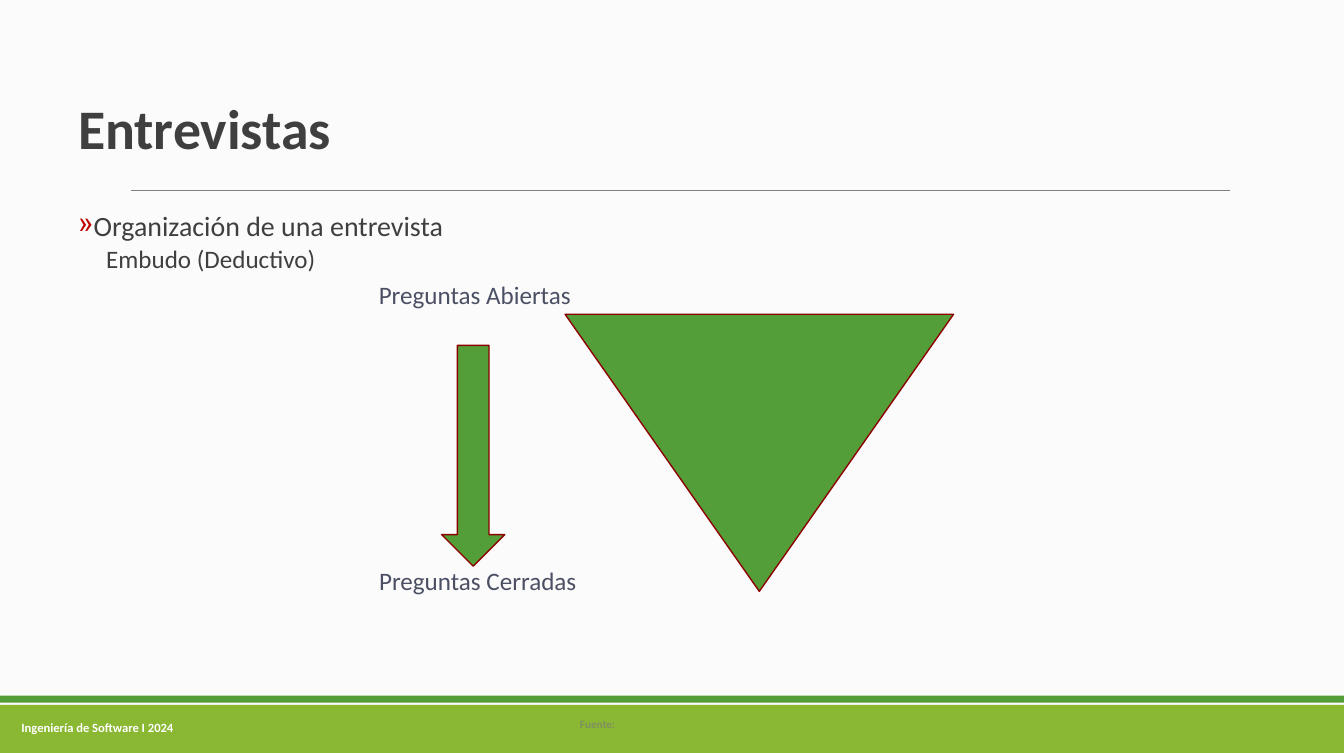
"""Build the slide on the funnel organisation of an interview."""
import dataclasses

import lxml.etree
import pptx
import pptx.dml.color
import pptx.enum.shapes
import pptx.enum.text
import pptx.oxml.ns
import pptx.util

Inches = pptx.util.Inches
Align = pptx.enum.text.PP_ALIGN
Anchor = pptx.enum.text.MSO_ANCHOR
Preset = pptx.enum.shapes.MSO_SHAPE


@dataclasses.dataclass(frozen=True)
class Theme:
    font: str = "Calibri"
    background: str = "FBFBFB"
    green: str = "549E39"
    lime: str = "8AB833"
    outline: str = "8C0000"
    rule: str = "7F7F7F"
    text: str = "3F3F3F"
    label: str = "4B5064"
    bullet: str = "C00000"
    footer: str = "FFFFFF"
    source: str = "7F8F5F"
    title_size: int = 40
    body_size: int = 20
    label_size: int = 18
    footer_size: int = 9
    source_size: int = 8


THEME = Theme()


def rgb(value):
    return pptx.dml.color.RGBColor.from_string(value)


def add_element(parent, tag, **attributes):
    name = pptx.oxml.ns.qn(tag)
    return lxml.etree.SubElement(parent, name, attributes)


def add_shape(slide, preset, box, fill, outline=None, rotation=0):
    shape = slide.shapes.add_shape(preset, *map(Inches, box))
    shape.shadow.inherit = False
    shape.rotation = rotation
    shape.fill.solid()
    shape.fill.fore_color.rgb = rgb(fill)
    if outline:
        shape.line.color.rgb = rgb(outline)
        shape.line.width = pptx.util.Pt(1)
    else:
        shape.line.fill.background()


def add_rule(slide, left, right, top):
    connector = slide.shapes.add_connector(
        pptx.enum.shapes.MSO_CONNECTOR.STRAIGHT,
        Inches(left), Inches(top), Inches(right), Inches(top))
    connector.line.color.rgb = rgb(THEME.rule)
    connector.line.width = pptx.util.Pt(0.75)
    add_element(connector._element.spPr, "a:effectLst")


def add_text_box(slide, box, anchor=Anchor.TOP, wrap=True):
    frame = slide.shapes.add_textbox(*map(Inches, box)).text_frame
    frame.word_wrap = wrap
    frame.vertical_anchor = anchor
    return frame


def write(paragraph, text, *, size, color, bold=False, align=Align.LEFT,
          spacing=1.0, before=0, margin=0, bullet=None):
    properties = paragraph._p.get_or_add_pPr()
    properties.set("marL", str(Inches(margin)))
    properties.set("indent", str(Inches(-margin) if bullet else 0))
    if bullet:
        bullet_color = add_element(properties, "a:buClr")
        add_element(bullet_color, "a:srgbClr", val=THEME.bullet)
        add_element(properties, "a:buChar", char=bullet)
    paragraph.alignment = align
    paragraph.line_spacing = spacing
    paragraph.space_before = pptx.util.Pt(before)
    run = paragraph.add_run()
    run.text = text
    run.font.name = THEME.font
    run.font.size = pptx.util.Pt(size)
    run.font.bold = bold
    run.font.color.rgb = rgb(color)


def add_label(slide, text, box):
    frame = add_text_box(slide, box, wrap=False)
    write(frame.paragraphs[0], text, size=THEME.label_size,
          color=THEME.label, align=Align.CENTER)


def add_footer(slide):
    add_shape(slide, Preset.RECTANGLE, (0, 7.02, 13.39, 0.48), THEME.lime)
    add_shape(slide, Preset.RECTANGLE, (0, 6.93, 13.39, 0.07), THEME.green)
    course = add_text_box(slide, (0, 7.05, 1.94, 0.4), Anchor.MIDDLE)
    write(course.paragraphs[0], "Ingeniería de Software I 2024", bold=True,
          size=THEME.footer_size, color=THEME.footer, align=Align.CENTER)
    source = add_text_box(slide, (5.68, 7.05, 2, 0.33), Anchor.MIDDLE)
    write(source.paragraphs[0], "Fuente:", bold=True,
          size=THEME.source_size, color=THEME.source)


def add_heading(slide):
    title = add_text_box(slide, (0.68, 0.7, 11.83, 1.24), Anchor.MIDDLE)
    write(title.paragraphs[0], "Entrevistas", size=THEME.title_size,
          color=THEME.text, bold=True, spacing=0.85)
    add_rule(slide, 1.31, 12.25, 1.9)


def add_body(slide):
    body = add_text_box(slide, (0.68, 2.08, 10.75, 4.9))
    write(body.paragraphs[0], "Organización de una entrevista",
          size=THEME.body_size, color=THEME.text, spacing=0.85,
          margin=0.07, bullet="»")
    write(body.add_paragraph(), "Embudo (Deductivo)",
          size=THEME.label_size, color=THEME.text, spacing=0.85,
          before=4.5, margin=0.28)


def add_funnel(slide):
    add_shape(slide, Preset.ISOSCELES_TRIANGLE, (5.63, 3.13, 3.87, 2.76),
              THEME.green, THEME.outline, rotation=180)
    add_label(slide, "Preguntas Cerradas", (3.67, 5.58, 2.18, 0.71))
    add_label(slide, "Preguntas Abiertas", (3.67, 2.73, 2.12, 0.71))
    add_shape(slide, Preset.DOWN_ARROW, (4.4, 3.44, 0.63, 2.2),
              THEME.green, THEME.outline)


def main():
    presentation = pptx.Presentation()
    presentation.slide_width = Inches(13.39)
    presentation.slide_height = Inches(7.5)
    slide = presentation.slides.add_slide(presentation.slide_layouts[6])
    slide.background.fill.solid()
    slide.background.fill.fore_color.rgb = rgb(THEME.background)
    add_footer(slide)
    add_heading(slide)
    add_body(slide)
    add_funnel(slide)
    presentation.save("out.pptx")


if __name__ == "__main__":
    main()
